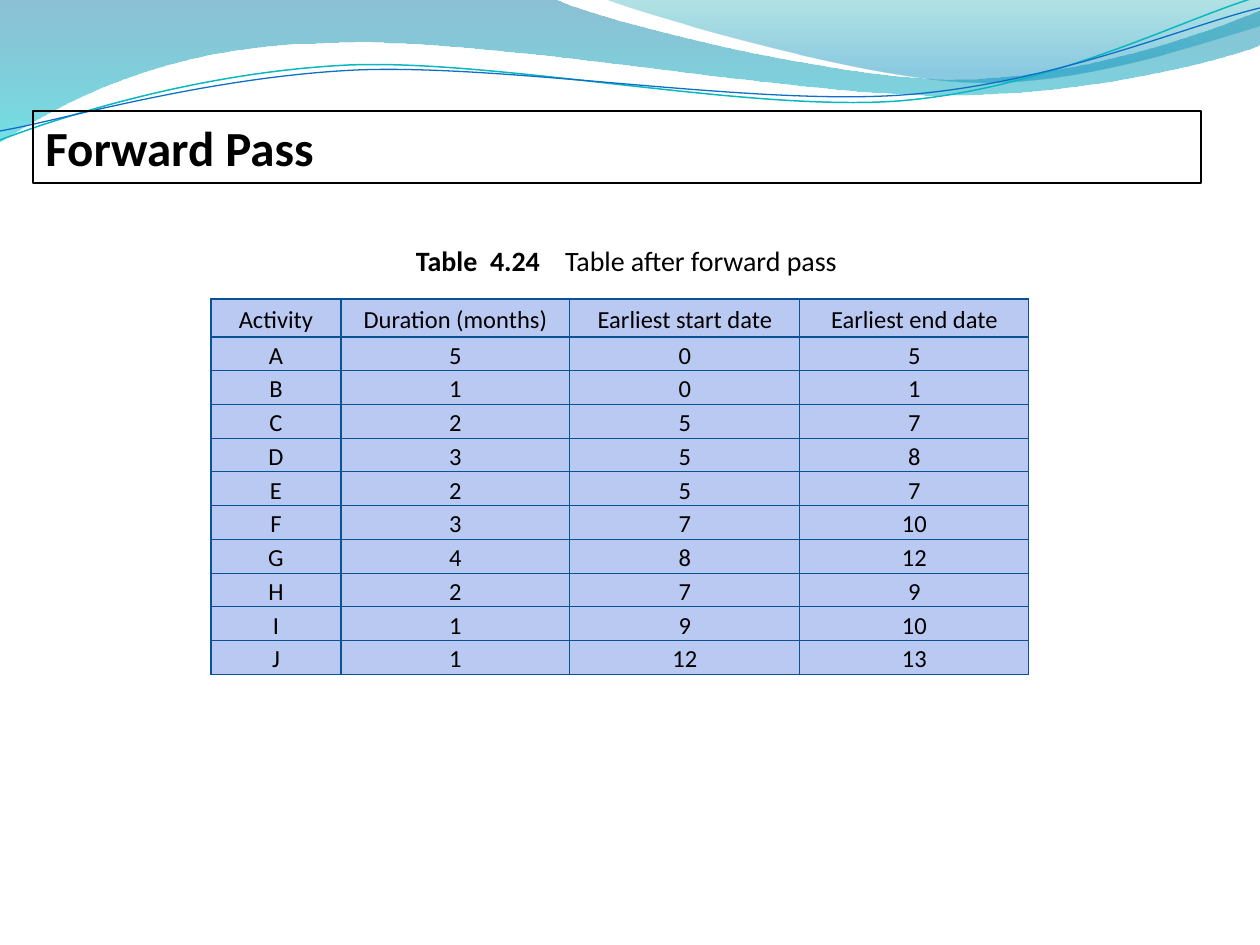
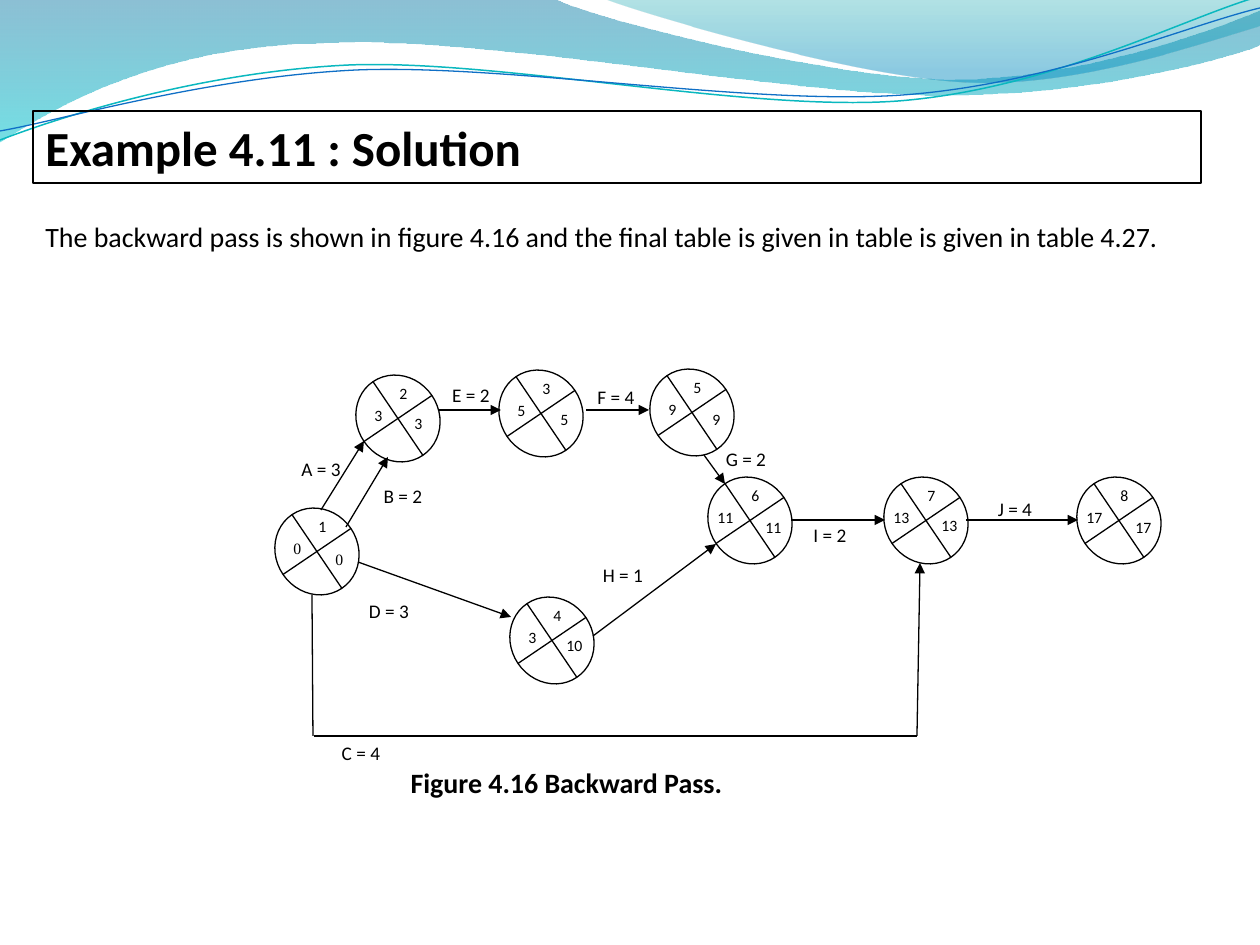
from lxml.etree import SubElement as Sub
from pptx import Presentation
from pptx.dml.color import RGBColor
from pptx.enum.shapes import MSO_CONNECTOR as Link, MSO_SHAPE as Shape
from pptx.enum.text import MSO_ANCHOR as Anchor, PP_ALIGN as Align
from pptx.oxml.ns import qn
from pptx.util import Emu, Pt

FONT = "Calibri"
BLACK, WHITE = "000000", "FFFFFF"
CELL, RULE = "B9C9F2", "095295"

BANDS = [
    ([(0, 0), (554, -1), (600, 21, 837, 79, 955, 79), (1075, 79, 1207, 33, 1260, 11),
      (1261, 45), (1239, 55, 1096, 96, 940, 95), (784, 95, 481, 35, 324, 43),
      (163, 45, 58, 105, -1, 142)], [(0, "0074A1", 45), (1, "00C6CF", 55)]),
    ([(604, -1), (641, 14, 859, 78, 969, 82), (1079, 87, 1211, 40, 1260, 26),
      (1260, 0)], [(0, "00A1A9", 30), (0.8, "008BBF", 45)]),
]
WAVES = [
    ([(0, 140), (60, 117, 199, 72, 349, 65), (498, 59, 747, 112, 898, 101),
      (1050, 89, 1182, 19, 1257, -3)], "0AB8BF", 0.85),
    ([(0, 131), (59, 121, 207, 77, 357, 70), (508, 64, 752, 106, 903, 95),
      (1053, 84, 1185, 26, 1260, 8)], "0F6FC6", 0.75),
]
HEAD = ["Activity", "Duration (months)", "Earliest start date", "Earliest end date"]
ROWS = [("A", 5, 0, 5), ("B", 1, 0, 1), ("C", 2, 5, 7), ("D", 3, 5, 8), ("E", 2, 5, 7),
        ("F", 3, 7, 10), ("G", 4, 8, 12), ("H", 2, 7, 9), ("I", 1, 9, 10), ("J", 1, 12, 13)]
NODES = [
    (0, 139, "1", "0", "0", 47, 37, "Times New Roman"),
    (81, 6, "2", "3", "3", 45, 34, FONT),
    (224, 1, "3", "5", "5", 48, 35, FONT),
    (235, 228, "4", "3", "10", 43, 34, FONT),
    (375, 0, "5", "9", "9", 49, 36, FONT),
    (433, 108, "6", "11", "11", 44, 36, FONT),
    (609, 108, "7", "13", "13", 44, 34, FONT),
    (802, 108, "8", "17", "17", 45, 36, FONT),
]
LABELS = [
    ("A = 3", 13, 90), ("B = 2", 95, 117), ("C = 4", 53, 374), ("D = 3", 81, 232),
    ("E = 2", 163, 16), ("F = 4", 308, 18), ("G = 2", 438, 80), ("H = 1", 315, 196),
    ("I = 2", 522, 156), ("J = 4", 707, 130),
]
ARROWS = [
    (45, 142, 88, 73), (70, 159, 112, 89), (82, 194, 235, 249), (162, 42, 225, 42),
    (310, 42, 373, 42), (428, 87, 449, 116), (317, 268, 440, 176),
    (515, 152, 609, 152), (690, 152, 802, 152), (641, 368, 644, 195),
]
LINES = [(36, 227, 37, 368), (38, 368, 641, 368)]


def px(n):
    """Turn px into EMU."""
    return Emu(round(n * 914400 / 126))


def rgb(code):
    """Turn a hex string into a colour."""
    return RGBColor.from_string(code)


def style(run, size, bold=False, font=FONT):
    """Set the font of a run."""
    run.font.name, run.font.size, run.font.bold = font, Pt(size), bold
    run.font.color.rgb = rgb(BLACK)


def write(frame, text, size, bold=False, align=Align.LEFT, font=FONT):
    """Fill a text frame with one styled paragraph."""
    frame.word_wrap = True
    para = frame.paragraphs[0]
    para.text, para.alignment = text, align
    style(para.runs[0], size, bold, font)


def note(slide, box, text, size, **look):
    """Add a text box."""
    shape = slide.shapes.add_textbox(*map(px, box))
    write(shape.text_frame, text, size, **look)
    return shape


def block(slide, kind, box, fill=None, line=None):
    """Add a preset shape without a shadow."""
    shape = slide.shapes.add_shape(kind, *map(px, box))
    paint(shape, fill, line)
    return shape


def paint(shape, fill=None, line=None, width=0.75):
    """Set the fill and line of a shape and drop its shadow."""
    shape.shadow.inherit = False
    if fill:
        shape.fill.solid()
        shape.fill.fore_color.rgb = rgb(fill)
    else:
        shape.fill.background()
    if line:
        shape.line.color.rgb = rgb(line)
        shape.line.width = Pt(width)
    else:
        shape.line.fill.background()


def outline(slide, x, y, steps, close):
    """Add a freeform whose six-number steps are cubic curves."""
    flat = [(px(x + s[i]), px(y + s[i + 1])) for s in steps for i in range(0, len(s), 2)]
    pen = slide.shapes.build_freeform(*flat[0], scale=1.0)
    pen.add_line_segments(flat[1:], close=close)
    shape = pen.convert_to_shape()
    legs = iter(list(shape.element.spPr.iter(qn("a:lnTo"))))
    for step in steps[1:]:
        leg = next(legs)
        if len(step) == 6:
            leg.tag = qn("a:cubicBezTo")
            for other in (next(legs), next(legs)):
                leg.append(other[0])
                other.getparent().remove(other)
    return shape


def header(slide, x, y):
    """Draw the shaded bands and the two waves."""
    for steps, stops in BANDS:
        band = outline(slide, x, y, steps, True)
        paint(band)
        band.fill.gradient()
        band.fill.gradient_angle = 270
        for stop, (place, code, alpha) in zip(band.fill.gradient_stops, stops):
            stop.position, stop.color.rgb = place, rgb(code)
        for tint, stop in zip(band.element.spPr.iter(qn("a:srgbClr")), stops):
            Sub(tint, qn("a:alpha"), val=str(stop[2] * 1000))
    for steps, code, width in WAVES:
        paint(outline(slide, x, y, steps, False), None, code, width)


def page(deck, title):
    """Add a slide with the header and a framed title."""
    slide = deck.slides.add_slide(deck.slide_layouts[6])
    header(slide, 0, 0)
    frame = block(slide, Shape.RECTANGLE, (33, 111, 1168, 72), line=BLACK)
    write(frame.text_frame, title, 28, bold=True)
    return slide


def caption(slide, box, name, text):
    """Add a table caption with a bold name and a tabbed text."""
    shape = note(slide, box, name, 16, bold=True)
    shape.text_frame.margin_left = px(95)
    para = shape.text_frame.paragraphs[0]
    tabs = Sub(para._p.get_or_add_pPr(), qn("a:tabLst"))
    for stop in (74, 149):
        Sub(tabs, qn("a:tab"), pos=str(px(stop)), algn="l")
    run = para.add_run()
    run.text = text
    style(run, 16)


def edge(cell):
    """Draw the four borders of a cell."""
    props = cell._tc.get_or_add_tcPr()
    for side in "LRTB":
        line = Sub(props, qn("a:ln" + side), w=str(Pt(0.75)))
        Sub(Sub(line, qn("a:solidFill")), qn("a:srgbClr"), val=RULE)


def grid(slide, x, y):
    """Add the table of dates."""
    widths, heights = [130, 229, 230, 229], [38] + [33] * len(ROWS)
    box = (x, y, sum(widths), sum(heights))
    table = slide.shapes.add_table(len(heights), len(widths), *map(px, box)).table
    table.horz_banding = False
    for col, width in zip(table.columns, widths):
        col.width = px(width)
    for row, height, texts in zip(table.rows, heights, [HEAD] + ROWS):
        row.height = px(height)
        for cell, text in zip(row.cells, texts):
            cell.margin_left = cell.margin_right = px(9)
            cell.margin_top = cell.margin_bottom = 0
            cell.vertical_anchor = Anchor.MIDDLE if texts is HEAD else Anchor.TOP
            edge(cell)
            cell.fill.solid()
            cell.fill.fore_color.rgb = rgb(CELL)
            write(cell.text_frame, str(text), 14, align=Align.CENTER)
            cell.text_frame.paragraphs[0].line_spacing = 1.13


def label(slide, x, y, text):
    """Add the name and length of an activity."""
    shape = block(slide, Shape.RECTANGLE, (x, y, 64, 21), WHITE)
    frame = shape.text_frame
    frame.margin_left = frame.margin_right = frame.margin_top = frame.margin_bottom = 0
    frame.vertical_anchor = Anchor.MIDDLE
    write(frame, text, 11, align=Align.CENTER)


def node(slide, x, y, top, left, right, dx, dy, font):
    """Add an event circle with its number and two dates."""
    disc = block(slide, Shape.FLOWCHART_OR, (x, y, 82, 89), WHITE, BLACK)
    disc.rotation = 325.9
    note(slide, (x + 30, y + 4, 30, 29), top, 9)
    start, wide = (5, 30) if len(left) == 1 else (-4, 44)
    note(slide, (x + start, y + 26, wide, 29), left, 9, font=font)
    note(slide, (x + dx, y + dy, 44, 29), right, 9, font=font)


def link(slide, x, y, ends, arrow):
    """Add a straight line, with an arrowhead if asked."""
    a, b, c, d = ends
    line = slide.shapes.add_connector(Link.STRAIGHT, *map(px, (x + a, y + b, x + c, y + d)))
    line.line.color.rgb = rgb(BLACK)
    line.line.width = Pt(0.75)
    if arrow:
        Sub(line.line._get_or_add_ln(), qn("a:tailEnd"), type="triangle")
    Sub(line._element.spPr, qn("a:effectLst"))


def network(slide, x, y):
    """Draw the activity network."""
    for text, dx, dy in LABELS:
        label(slide, x + dx, y + dy, text)
    for dx, dy, *marks in NODES:
        node(slide, x + dx, y + dy, *marks)
    for ends in LINES + ARROWS:
        link(slide, x, y, ends, ends in ARROWS)


def main():
    """Build both slides and save them."""
    deck = Presentation()
    deck.slide_width, deck.slide_height = px(1260), px(945)
    first = page(deck, "Forward Pass")
    grid(first, 211, 299)
    caption(first, (321, 237, 610, 46), "Table\t4.24\t", "Table after forward pass")
    second = page(deck, "Example 4.11 : Solution")
    note(second, (33, 213, 1168, 46), "The backward pass is shown in figure 4.16 and the final "
         "table is given in table is given in table 4.27.", 16, align=Align.JUSTIFY)
    network(second, 276, 368)
    note(second, (258, 759, 617, 46), "Figure 4.16 Backward Pass.", 16, bold=True,
         align=Align.CENTER)
    deck.save("out.pptx")


if __name__ == "__main__":
    main()
